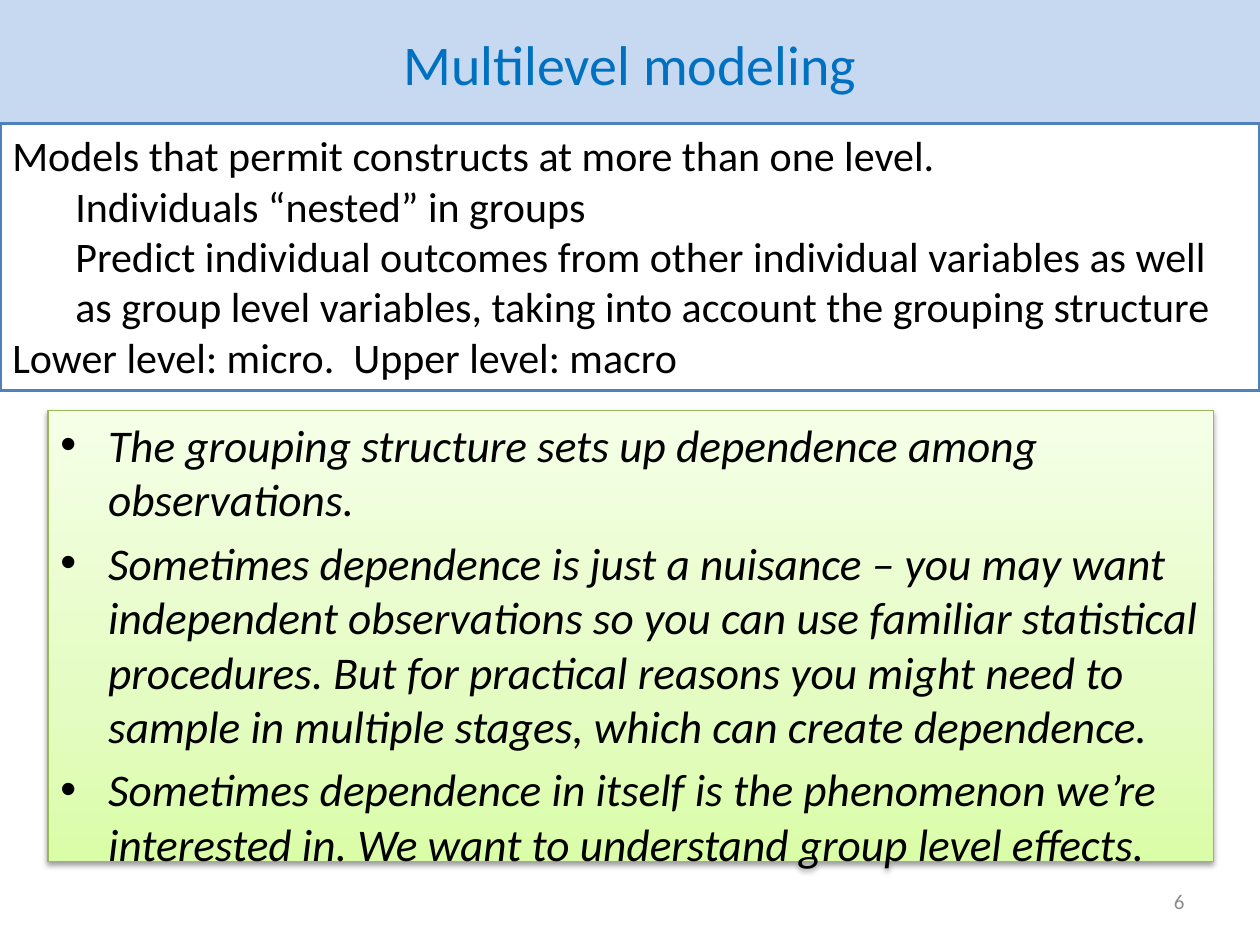
import pptx
import pptx.util
import pptx.dml.color
import pptx.enum.shapes
import pptx.enum.text
import pptx.oxml
import pptx.oxml.ns
from pptx.util import Inches

ALIGN = pptx.enum.text.PP_ALIGN
ANCHOR = pptx.enum.text.MSO_ANCHOR
NS = pptx.oxml.ns.nsdecls("a")


def color(code):
    return pptx.dml.color.RGBColor.from_string(code)


def add_box(slide, box, fill=None, line=None, width=1):
    """Add a plain rectangle with no shadow."""
    kind = pptx.enum.shapes.MSO_SHAPE.RECTANGLE
    shape = slide.shapes.add_shape(kind, *map(Inches, box))
    shape.shadow.inherit = False
    if fill:
        shape.fill.solid()
        shape.fill.fore_color.rgb = color(fill)
    else:
        shape.fill.background()
    if line:
        shape.line.color.rgb = color(line)
        shape.line.width = pptx.util.Pt(width)
    else:
        shape.line.fill.background()
    return shape


def add_text(shape, items, size=24, ink="000000", italic=False,
             align=ALIGN.LEFT, anchor=ANCHOR.TOP, before=0, bullet=None):
    """Write (text, left indent) items as paragraphs."""
    frame = shape.text_frame
    frame.word_wrap = True
    frame.vertical_anchor = anchor
    for index, (text, indent) in enumerate(items):
        para = frame.paragraphs[0] if index == 0 else frame.add_paragraph()
        para.alignment = align
        para.space_before = pptx.util.Pt(before)
        run = para.add_run()
        run.text = text
        font = run.font
        font.name = "Calibri"
        font.size = pptx.util.Pt(size)
        font.italic = italic
        font.color.rgb = color(ink)
        props = para._p.get_or_add_pPr()
        props.set("marL", str(Inches(indent)))
        if bullet:
            props.set("indent", str(-Inches(indent)))
            for part in ('<a:buFont %s typeface="Arial"/>' % NS,
                         '<a:buChar %s char="%s"/>' % (NS, bullet)):
                props.append(pptx.oxml.parse_xml(part))


def add_fade(shape, stops):
    """Fill from the bottom up with (percent, colour) stops."""
    marks = "".join(
        f'<a:gs pos="{pos * 1000}"><a:srgbClr val="{code}"/></a:gs>'
        for pos, code in stops)
    fade = pptx.oxml.parse_xml(
        f'<a:gradFill {NS} rotWithShape="1"><a:gsLst>{marks}</a:gsLst>'
        '<a:lin ang="16200000" scaled="0"/></a:gradFill>')
    props = shape._element.spPr
    old = props.find(pptx.oxml.ns.qn("a:noFill"))
    props.replace(old, fade)


def add_shade(shape, blur, dist, alpha):
    """Cast a soft black shadow downward."""
    blur, dist = pptx.util.Pt(blur), pptx.util.Pt(dist)
    effects = shape._element.spPr.find(pptx.oxml.ns.qn("a:effectLst"))
    effects.append(pptx.oxml.parse_xml(
        f'<a:outerShdw {NS} blurRad="{blur}" dist="{dist}" dir="5400000" '
        'rotWithShape="0"><a:srgbClr val="000000">'
        f'<a:alpha val="{alpha * 1000}"/></a:srgbClr></a:outerShdw>'))


def add_title(slide, box):
    shape = add_box(slide, box, fill="C6D9F1")
    add_text(shape, [("Multilevel modeling", 0)], size=32, ink="0070C0",
             align=ALIGN.CENTER, anchor=ANCHOR.MIDDLE)


def add_points(slide, box):
    shape = add_box(slide, box, line="98B955", width=0.75)
    add_fade(shape, [(0, "DAFDA7"), (35, "E4FCC2"), (100, "F5FFE7")])
    add_shade(shape, blur=3.1, dist=1.6, alpha=38)
    points = [
        "The grouping structure sets up dependence among observations.",
        "Sometimes dependence is just a nuisance – you may want independent "
        "observations so you can use familiar statistical procedures. But for "
        "practical reasons you might need to sample in multiple stages, which "
        "can create dependence.",
        "Sometimes dependence in itself is the phenomenon we’re interested "
        "in. We want to understand group level effects.",
    ]
    add_text(shape, [(text, 0.38) for text in points], size=25.9,
             italic=True, before=5.2, bullet="•")


def add_summary(slide, box):
    shape = add_box(slide, box, fill="FFFFFF", line="4F81BD", width=2)
    add_text(shape, [
        ("Models that permit constructs at more than one level.", 0),
        ("Individuals “nested” in groups", 0.5),
        ("Predict individual outcomes from other individual variables as well "
         "as group level variables, taking into account the grouping "
         "structure", 0.5),
        ("Lower level: micro.  Upper level: macro", 0),
    ])


def add_number(slide, box):
    shape = slide.shapes.add_textbox(*map(Inches, box))
    add_text(shape, [("6", 0)], size=12, ink="8C8C8C",
             align=ALIGN.RIGHT, anchor=ANCHOR.MIDDLE)


def main():
    deck = pptx.Presentation()
    deck.slide_width, deck.slide_height = Inches(10), Inches(7.5)
    slide = deck.slides.add_slide(deck.slide_layouts[6])
    add_title(slide, (0, 0, 10, 1))
    add_points(slide, (0.38, 3.26, 9.25, 3.58))
    add_summary(slide, (0, 0.98, 10, 2.12))
    add_number(slide, (7.17, 6.95, 2.33, 0.4))
    deck.save("out.pptx")


if __name__ == "__main__":
    main()
